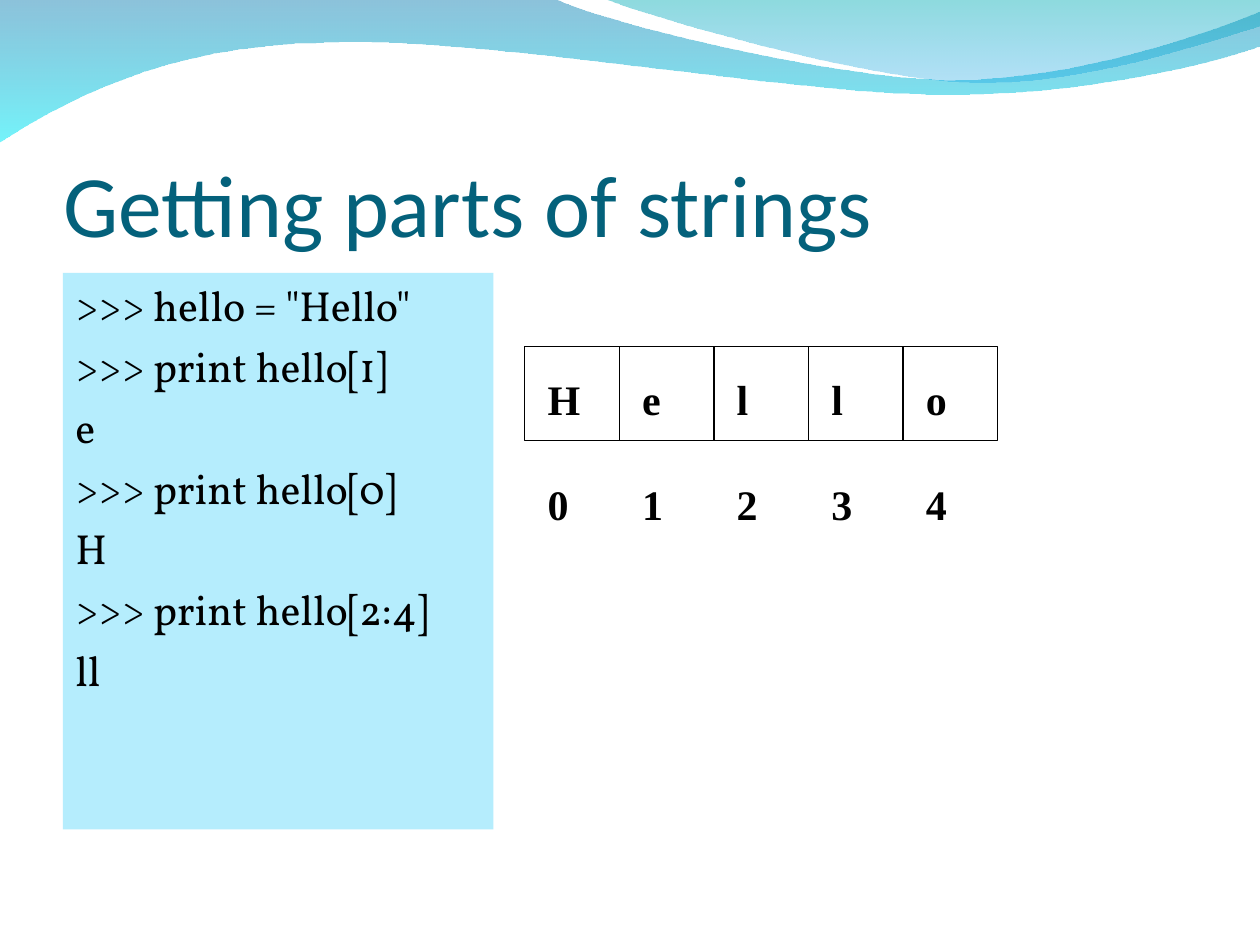
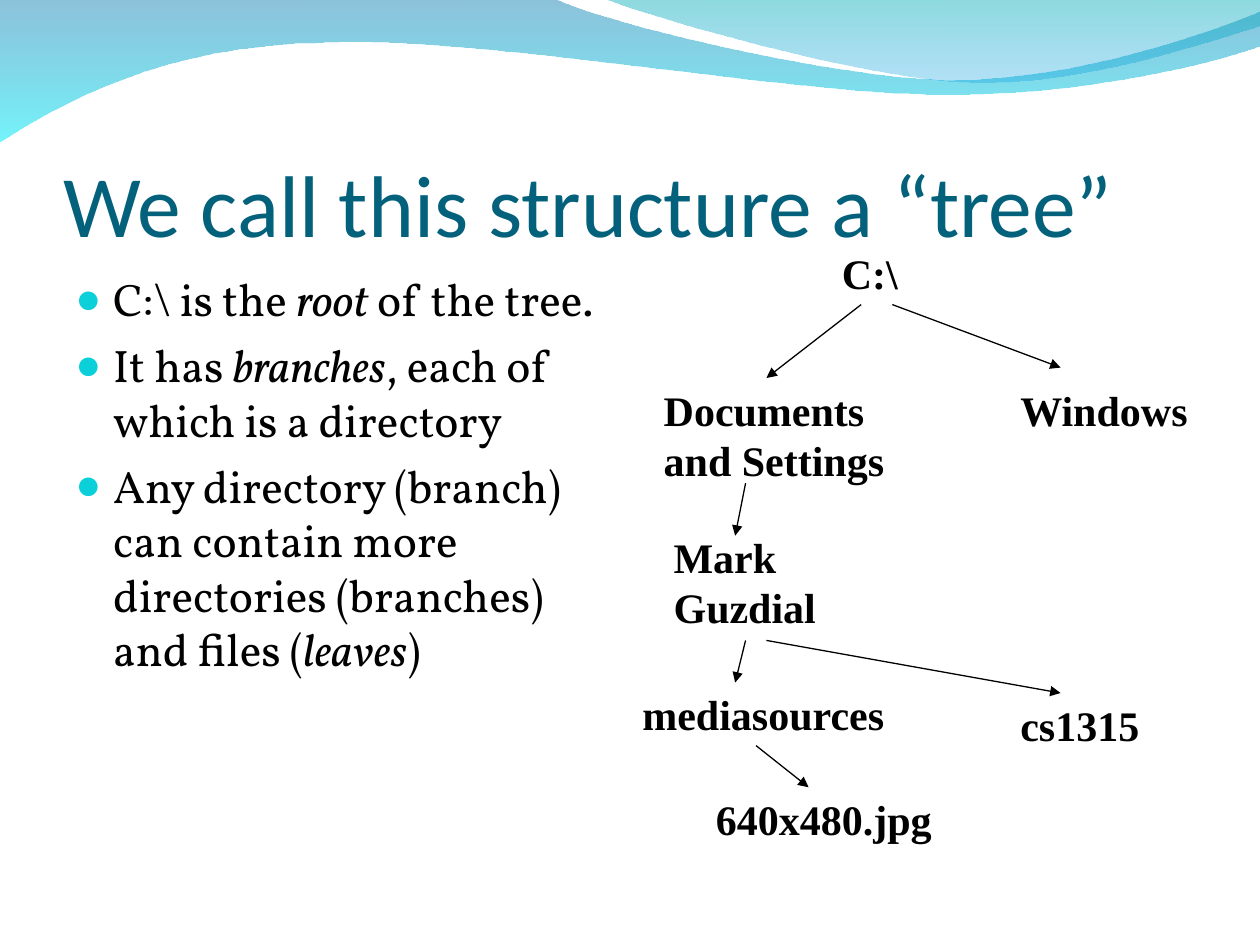
"""Two lecture slides on string indexing and directory trees, under a wave banner."""
from dataclasses import dataclass

from lxml import etree
from pptx import Presentation
from pptx import util as u
from pptx.dml.color import RGBColor
from pptx.enum import shapes, text
from pptx.oxml.ns import qn


@dataclass(frozen=True)
class Theme:
    """Colours, fonts and type sizes of the deck."""
    title_color: RGBColor = RGBColor(0x04, 0x61, 0x7B)
    ink: RGBColor = RGBColor(0, 0, 0)
    code_fill: RGBColor = RGBColor(0xB5, 0xED, 0xFD)
    bullet: str = "0BD0D9"
    title_font: str = "Calibri"
    body_font: str = "Vollkorn"
    label_font: str = "Times New Roman"
    title_size: float = 50
    body_size: float = 26
    code_size: float = 24
    label_size: float = 24
    line_width: float = 0.75


THEME = Theme()
HANGING = u.Cm(0.76)
INSETS = (0.25, 0.13, 0.25, 0.13)

WIDE_WAVE = [
    [(0, -0.03)],
    [(11.18, -0.03)],
    [(12.09, 0.43), (16.87, 1.6), (19.25, 1.6)],
    [(21.67, 1.6), (24.33, 0.66), (25.4, 0.23)],
    [(25.43, 0.91)],
    [(24.97, 1.12), (22.1, 1.93), (18.95, 1.9)],
    [(15.8, 1.9), (9.7, 0.71), (6.53, 0.86)],
    [(3.28, 0.89), (1.17, 2.11), (-0.03, 2.87)],
    [(0, -0.03)],
]
SHORT_WAVE = [
    [(12.17, -0.03)],
    [(12.93, 0.28), (17.32, 1.57), (19.53, 1.65)],
    [(21.74, 1.75), (24.41, 0.81), (25.4, 0.53)],
    [(25.4, 0)],
    [(12.17, -0.03)],
]
WAVES = [
    (WIDE_WAVE, [("0079AF", 45), ("00EBF8", 55)]),
    (SHORT_WAVE, [("00ADB6", 45), ("009BE5", 30)]),
]

CODE = ['>>> hello = "Hello"', ">>> print hello[1]", "e", ">>> print hello[0]", "H",
        ">>> print hello[2:4]", "ll"]

TREE_POINTS = [
    [("C:\\ is the ", False), ("root", True), (" of the tree.", False)],
    [("It has ", False), ("branches", True), (", each of which is a directory", False)],
    [("Any directory (branch) can contain more directories (branches) and files (", False),
     ("leaves", True), (")", False)],
]
TREE_NODES = [
    ("C:\\", 16.72, 4.87, 2.12, 1.27),
    ("Documents and Settings", 13.13, 7.62, 5.72, 2.29),
    ("Windows", 20.32, 7.62, 4.23, 1.27),
    ("Mark Guzdial", 13.33, 10.58, 4.87, 2.29),
    ("mediasources", 12.7, 13.76, 6.14, 1.27),
    ("cs1315", 20.32, 13.97, 4.23, 1.27),
    ("640x480.jpg", 14.18, 15.87, 5.5, 1.27),
]
BRANCHES = [
    (17.36, 6.14, 15.45, 7.62),
    (17.99, 6.14, 21.38, 7.41),
    (15.03, 9.74, 14.82, 10.8),
    (15.03, 12.91, 14.82, 13.76),
    (15.45, 12.91, 21.38, 13.97),
    (15.24, 15.03, 16.3, 15.87),
]


def cm(*lengths):
    """Turn centimetre numbers into lengths."""
    return [u.Cm(length) for length in lengths]


def bend(outline_shape, steps):
    """Turn each run of three straight segments that forms one step into a Bezier curve."""
    segments = iter(list(outline_shape.element.iter(qn("a:lnTo"))))
    for step in steps:
        parts = [next(segments) for _ in step]
        if len(parts) == 3:
            curve = etree.Element(qn("a:cubicBezTo"))
            parts[0].addprevious(curve)
            for part in parts:
                curve.append(part[0])
                part.getparent().remove(part)


def add_wave(slide, outline, stops):
    """Draw one translucent wave with a top-to-bottom gradient."""
    points = [tuple(cm(*point)) for step in outline for point in step]
    builder = slide.shapes.build_freeform(*points[0])
    builder.add_line_segments(points[1:], close=True)
    wave = builder.convert_to_shape()
    bend(wave, outline[1:])
    wave.shadow.inherit = False
    wave.line.fill.background()
    wave.fill.gradient()
    wave.fill.gradient_angle = 270
    for stop, (color, _) in zip(wave.fill.gradient_stops, stops):
        stop.color.rgb = RGBColor.from_string(color)
    for tint, (_, opacity) in zip(wave.element.iter(qn("a:srgbClr")), stops):
        etree.SubElement(tint, qn("a:alpha"), val=str(opacity * 1000))
    return wave


def add_banner(deck, slide):
    """Move the waves to the slide master so that every slide shows them."""
    for position, (outline, stops) in enumerate(WAVES, start=2):
        wave = add_wave(slide, outline, stops)
        deck.slide_master.shapes.element.insert(position, wave.element)


def set_frame(frame, insets=INSETS, anchor=text.MSO_ANCHOR.TOP, fit=text.MSO_AUTO_SIZE.NONE):
    """Set wrapping, insets, anchor and fitting of a text frame."""
    frame.word_wrap = True
    frame.auto_size = fit
    frame.vertical_anchor = anchor
    frame.margin_left, frame.margin_top, frame.margin_right, frame.margin_bottom = cm(*insets)


def add_run(paragraph, words, font, size, color=THEME.ink, bold=False, italic=False):
    """Add one formatted run."""
    run = paragraph.add_run()
    run.text = words
    run.font.name, run.font.size, run.font.color.rgb = font, u.Pt(size), color
    run.font.bold, run.font.italic = bold, italic


def add_bullet(paragraph):
    """Give a paragraph the round coloured bullet."""
    properties = paragraph._p.get_or_add_pPr()
    color = etree.SubElement(properties, qn("a:buClr"))
    etree.SubElement(color, qn("a:srgbClr"), val=THEME.bullet)
    etree.SubElement(properties, qn("a:buSzPct"), val="95000")
    etree.SubElement(properties, qn("a:buChar"), char="●")


def add_lines(frame, lines, size, gap, bulleted=False):
    """Fill a frame with hanging paragraphs made of (words, italic) runs."""
    for i, line in enumerate(lines):
        paragraph = frame.add_paragraph() if i else frame.paragraphs[0]
        properties = paragraph._p.get_or_add_pPr()
        properties.set("marL", str(HANGING))
        properties.set("indent", str(-HANGING))
        if bulleted:
            add_bullet(paragraph)
        paragraph.alignment = text.PP_ALIGN.LEFT
        paragraph.space_before = u.Pt(gap if i else 0)
        for words, italic in line:
            add_run(paragraph, words, THEME.body_font, size, italic=italic)


def place(holder, left, top, width, height):
    """Move and size a placeholder, in centimetres."""
    holder.left, holder.top, holder.width, holder.height = cm(left, top, width, height)


def set_title(slide, words):
    """Place and write the slide title."""
    title = slide.shapes.title
    place(title, 1.27, 1.96, 22.86, 3.18)
    set_frame(title.text_frame, (0, 0.13, 0, 0), text.MSO_ANCHOR.BOTTOM)
    heading = title.text_frame.paragraphs[0]
    heading.alignment = text.PP_ALIGN.LEFT
    add_run(heading, words, THEME.title_font, THEME.title_size, THEME.title_color)


def add_box(slide, left, top, width, height):
    """Add a plain rectangle without a shadow."""
    box = slide.shapes.add_shape(shapes.MSO_SHAPE.RECTANGLE, *cm(left, top, width, height))
    box.shadow.inherit = False
    return box


def add_code(slide):
    """Add the panel with the interpreter session."""
    session = add_box(slide, 1.27, 5.5, 8.68, 11.22)
    session.fill.solid()
    session.fill.fore_color.rgb = THEME.code_fill
    session.line.fill.background()
    set_frame(session.text_frame)
    add_lines(session.text_frame, [[(line, False)] for line in CODE], THEME.code_size, 6)


def add_label(slide, words, left, top, width, height):
    """Add a bold label."""
    label = slide.shapes.add_textbox(*cm(left, top, width, height))
    set_frame(label.text_frame, fit=text.MSO_AUTO_SIZE.SHAPE_TO_FIT_TEXT)
    add_run(label.text_frame.paragraphs[0], words, THEME.label_font, THEME.label_size, bold=True)


def set_line(line):
    """Give an outline or a connector the thin dark line."""
    line.color.rgb = THEME.ink
    line.width = u.Pt(THEME.line_width)


def add_letter_cells(slide, word, left=10.58, top=6.98, row_width=9.53):
    """Draw a word as a row of cells with the index under each letter."""
    side = row_width / len(word)
    columns = [left + index * side for index in range(len(word))]
    for column in columns:
        cell = add_box(slide, column, top, side, side)
        cell.fill.background()
        set_line(cell.line)
    for column, letter in zip(columns, word):
        add_label(slide, letter, column + 0.21, top + 0.43, 1.48, 1.27)
    for index, column in enumerate(columns):
        add_label(slide, str(index), column + 0.21, top + 2.54, 1.06, 1.27)


def add_arrow(slide, *ends):
    """Add a straight arrow between two points."""
    arrow = slide.shapes.add_connector(shapes.MSO_CONNECTOR.STRAIGHT, *cm(*ends))
    set_line(arrow.line)
    properties = arrow.element.find(qn("p:spPr"))
    etree.SubElement(properties.find(qn("a:ln")), qn("a:tailEnd"), type="triangle")
    etree.SubElement(properties, qn("a:effectLst"))


def build_strings_slide(slide):
    """Show indexing and slicing of a string."""
    set_title(slide, "Getting parts of strings")
    add_code(slide)
    add_letter_cells(slide, "Hello")


def build_tree_slide(slide):
    """Show a directory tree and its terms."""
    set_title(slide, "We call this structure a “tree”")
    terms = slide.placeholders[1]
    place(terms, 1.27, 5.34, 11.23, 12.32)
    set_frame(terms.text_frame)
    add_lines(terms.text_frame, TREE_POINTS, THEME.body_size, 6.5, bulleted=True)
    for node in TREE_NODES:
        add_label(slide, *node)
    for branch in BRANCHES:
        add_arrow(slide, *branch)


def main():
    """Build and save the deck."""
    deck = Presentation()
    deck.slide_width, deck.slide_height = cm(25.4, 19.05)
    strings = deck.slides.add_slide(deck.slide_layouts.get_by_name("Title Only"))
    add_banner(deck, strings)
    build_strings_slide(strings)
    build_tree_slide(deck.slides.add_slide(deck.slide_layouts.get_by_name("Title and Content")))
    deck.save("out.pptx")


if __name__ == "__main__":
    main()
